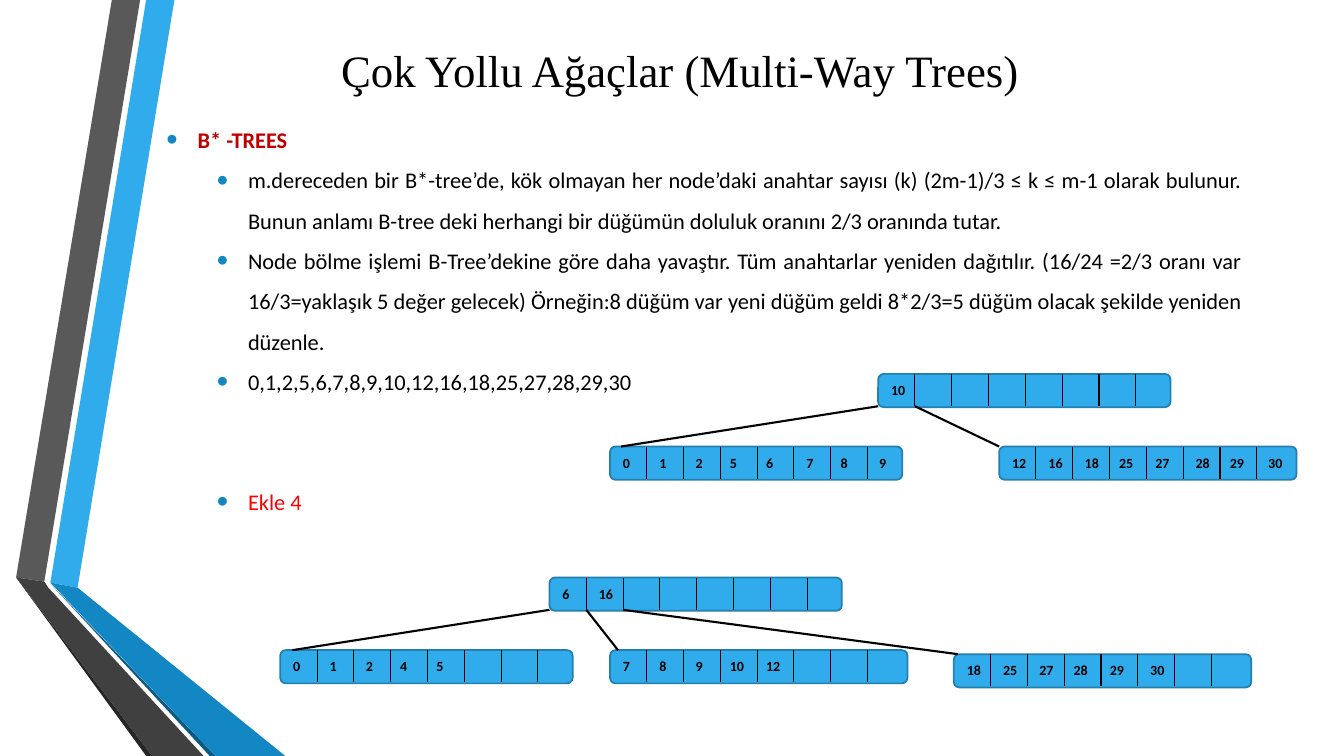
"""Build the slide on B*-trees with two drawn trees."""
from lxml.etree import SubElement
from pptx import Presentation
from pptx.dml.color import RGBColor
from pptx.enum.shapes import MSO_CONNECTOR, MSO_SHAPE
from pptx.enum.text import MSO_ANCHOR, MSO_AUTO_SIZE, PP_ALIGN
from pptx.oxml.ns import qn
from pptx.util import Inches, Pt

HUES = {
    "ink": "000000", "sky": "30ACEC", "edge": "247FAF", "sea": "1287C3",
    "deep": "0C5A82", "gray": "595959", "coal": "404040", "dark": "262626",
    "head": "C00000", "red": "FF0000",
}
COLS, ROWS = 133.3, 75
CELL = 3.65
KEYS = (0.3, 3.9, 7.5, 10.9, 14.5, 18.5, 21.9, 25.7)

BANDS = (
    ("sky", ((5, 57.8), (7.7, 58.3), (17.3, 0), (14.5, 0))),
    ("gray", ((13.9, 0), (11.1, 0), (1.6, 57.3), (4.4, 57.7))),
    ("dark", ((1.6, 57.3), (14.5, 75), (15.1, 75))),
    ("deep", ((5, 57.9), (20.8, 75), (21.4, 75))),
    ("sea", ((5, 57.8), (21.4, 75), (28.3, 75), (7.7, 58.3))),
    ("coal", ((20.2, 75), (4.8, 58.3), (4.4, 57.7), (1.6, 57.3), (15.1, 75))),
)

ITEMS = (
    ("B* -TREES", 0, "head", 0),
    ("m.dereceden bir B*-tree’de, kök olmayan her node’daki anahtar sayısı (k) "
     "(2m-1)/3 ≤ k ≤ m-1 olarak bulunur. Bunun anlamı B-tree deki herhangi bir "
     "düğümün doluluk oranını 2/3 oranında tutar.", 1, "ink", 0),
    ("Node bölme işlemi B-Tree’dekine göre daha yavaştır. Tüm anahtarlar yeniden "
     "dağıtılır. (16/24 =2/3 oranı var 16/3=yaklaşık 5 değer gelecek) Örneğin:8 "
     "düğüm var yeni düğüm geldi 8*2/3=5 düğüm olacak şekilde yeniden düzenle.",
     1, "ink", 0),
    ("0,1,2,5,6,7,8,9,10,12,16,18,25,27,28,29,30", 1, "ink", 0),
    ("Ekle 4", 1, "red", 57),
)

TREES = (
    ((87.1, 37.1, 29, (10,)), (
        (1.1, (60.5, 44.3, 29, (0, 1, 2, 5, 6, 7, 8, 9))),
        (0, (99.1, 44.3, 29.5, (12, 16, 18, 25, 27, 28, 29, 30))),
    )),
    ((54.5, 57.3, 29, (6, 16)), (
        (1.2, (27.8, 64.5, 29, (0, 1, 2, 4, 5))),
        (0.8, (60.5, 64.5, 29.5, (7, 8, 9, 10, 12))),
        (0.4, (94.6, 64.9, 29.5, (18, 25, 27, 28, 29, 30))),
    )),
)


class Deck:
    """Hold the style and the current slide."""

    def __init__(self):
        self.show = Presentation()
        self.show.slide_width = self.size(COLS)
        self.show.slide_height = self.size(ROWS)
        self.slide = self.show.slides.add_slide(self.show.slide_layouts[1])
        self.pane = self.slide.shapes

    def size(self, n):
        """Turn grid steps into a length."""
        return Inches(round(n / 10, 3))

    def hue(self, name):
        """Look up a colour."""
        return RGBColor.from_string(HUES[name])

    def group(self):
        """Start a group that takes the next shapes."""
        group = self.slide.shapes.add_group_shape()
        self.pane = group.shapes
        return group

    def place(self, shape, x, y, w, h):
        """Put a shape on the grid."""
        shape.left, shape.top = self.size(x), self.size(y)
        shape.width, shape.height = self.size(w), self.size(h)

    def style(self, para, size, hue, bold=False, face="Calibri"):
        """Set the font of a paragraph."""
        font = para.font
        font.name, font.size, font.bold = face, Pt(size), bold
        font.color.rgb = self.hue(hue)

    def title(self, text):
        """Fill the title."""
        shape = self.slide.shapes.title
        self.place(shape, 15.5, 1.7, 103.9, 10.4)
        frame = shape.text_frame
        frame.text = text
        frame.auto_size = MSO_AUTO_SIZE.NONE
        frame.vertical_anchor = MSO_ANCHOR.MIDDLE
        para = frame.paragraphs[0]
        para.alignment = PP_ALIGN.CENTER
        self.style(para, 32, "ink", face="Times New Roman")

    def bullet(self, para, left):
        """Give a paragraph a hanging dot."""
        props = para._p.get_or_add_pPr()
        props.set("marL", str(self.size(left)))
        props.set("indent", str(-self.size(3.1)))
        tint = SubElement(props, qn("a:buClr"))
        SubElement(tint, qn("a:srgbClr"), val=HUES["sea"])
        SubElement(props, qn("a:buSzPct"), val="145000")
        SubElement(props, qn("a:buFont"), typeface="Arial")
        SubElement(props, qn("a:buChar"), char="•")

    def body(self, items):
        """Fill the list."""
        shape = self.slide.placeholders[1]
        self.place(shape, 15.5, 10.7, 108.7, 41.7)
        frame = shape.text_frame
        frame.text = "\n".join(item[0] for item in items)
        frame.auto_size = MSO_AUTO_SIZE.NONE
        frame.vertical_anchor = MSO_ANCHOR.TOP
        for para, (_, level, hue, gap) in zip(frame.paragraphs, items):
            self.bullet(para, 3.1 + 5 * level)
            para.level = level
            para.alignment = PP_ALIGN.JUSTIFY
            para.line_spacing = 1.5
            para.space_before, para.space_after = Pt(gap), Pt(0)
            self.style(para, 16, hue, bold=level == 0)

    def band(self, hue, spots):
        """Draw one filled outline."""
        spots = [(self.size(x), self.size(y)) for x, y in spots]
        pen = self.pane.build_freeform(*spots[0])
        pen.add_line_segments(spots[1:])
        shape = pen.convert_to_shape()
        shape.shadow.inherit = False
        shape.fill.solid()
        shape.fill.fore_color.rgb = self.hue(hue)
        shape.line.fill.background()

    def line(self, x, y, to_x, to_y, width):
        """Draw a straight line."""
        ends = [self.size(n) for n in (x, y, to_x, to_y)]
        line = self.pane.add_connector(MSO_CONNECTOR.STRAIGHT, *ends)
        line.line.color.rgb = self.hue("ink")
        line.line.width = Pt(width)
        SubElement(line._element.spPr, qn("a:effectLst"))

    def key(self, x, y, text):
        """Write one key."""
        box = self.pane.add_textbox(*[self.size(n) for n in (x, y, 3.8, 2.7)])
        frame = box.text_frame
        frame.word_wrap = True
        frame.auto_size = MSO_AUTO_SIZE.SHAPE_TO_FIT_TEXT
        frame.text = str(text)
        self.style(frame.paragraphs[0], 10, "ink", bold=True)

    def node(self, x, y, wide, keys):
        """Draw a node of eight cells with its keys."""
        area = [self.size(n) for n in (x, y, wide, 3.3)]
        box = self.pane.add_shape(MSO_SHAPE.ROUNDED_RECTANGLE, *area)
        box.shadow.inherit = False
        box.fill.solid()
        box.fill.fore_color.rgb = self.hue("sky")
        box.line.color.rgb = self.hue("edge")
        box.line.width = Pt(1.25)
        for i in range(1, len(KEYS)):
            self.line(x + i * CELL, y, x + i * CELL, y + 3.2, 0.75)
        for step, text in zip(KEYS, keys):
            self.key(x + step, y + 0.25, text)

    def tree(self, root, kids):
        """Draw a root, its children and the links."""
        self.group()
        self.node(*root)
        for i, (shift, kid) in enumerate(kids):
            self.node(*kid)
            self.line(root[0] + i * CELL, root[1] + 3.2, kid[0] + shift, kid[1], 1.5)


def main():
    """Build and save the slide."""
    deck = Deck()
    back = deck.group()
    for hue, spots in BANDS:
        deck.band(hue, spots)
    deck.slide.shapes._spTree.insert(2, back._element)
    deck.title("Çok Yollu Ağaçlar (Multi-Way Trees)")
    deck.body(ITEMS)
    for root, kids in TREES:
        deck.tree(root, kids)
    deck.show.save("out.pptx")


if __name__ == "__main__":
    main()
